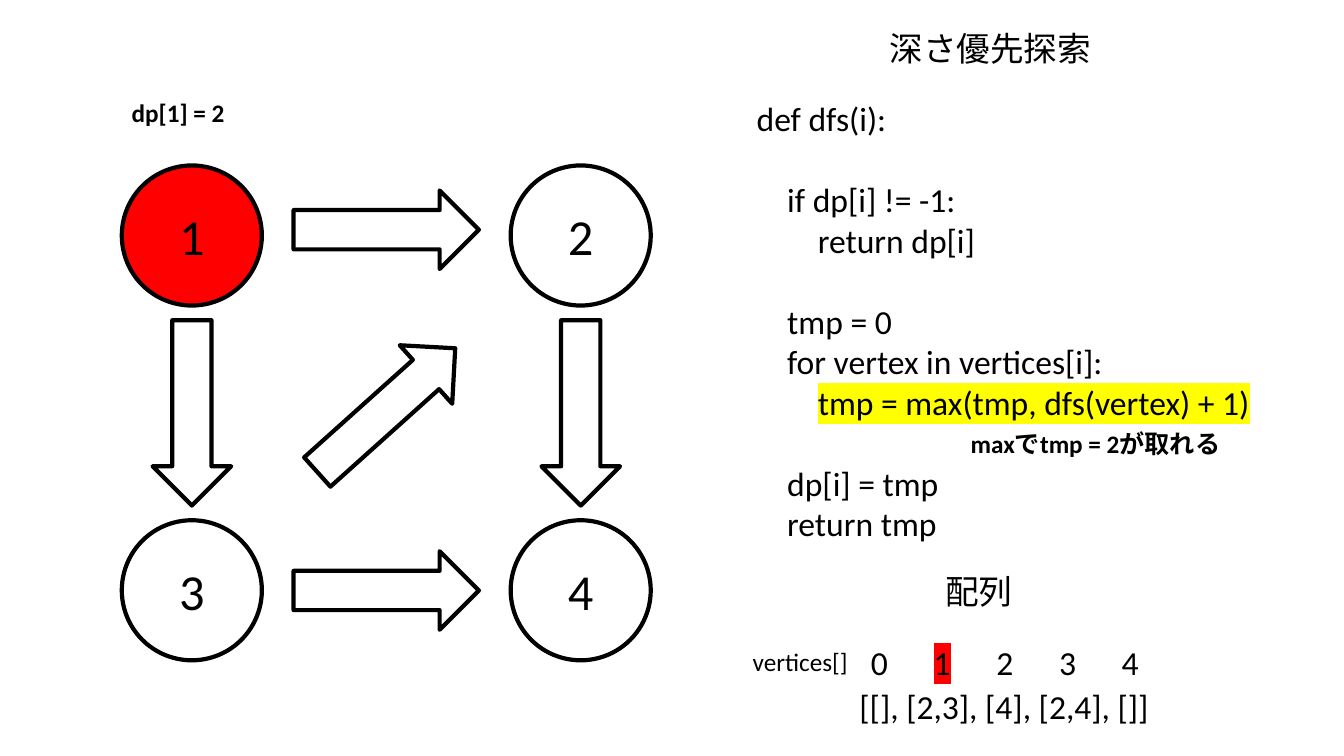
from itertools import product

from lxml import etree
from pptx import Presentation
from pptx import util as u
from pptx.dml.color import RGBColor
from pptx.enum import shapes, text
from pptx.oxml.ns import qn

BLACK, RED, YELLOW = "000000", "FF0000", "FFFF00"
FONT = "Calibri"
NODE = 3.53
COLUMN_STEP, ROW_STEP = 9.8, 8.94
ARROW_WIDTH, ARROW_HEIGHT = 4.67, 1.98
INDENT = 0.77
LINE_HEIGHT = 29.3

# Code lines: indent level, blank lines before, wording, highlight
CODE = [
    (0, 0, "def dfs(i):", None),
    (1, 1, "if dp[i] != -1:", None),
    (2, 0, "return dp[i]", None),
    (1, 1, "tmp = 0", None),
    (1, 0, "for vertex in vertices[i]:", None),
    (2, 0, "tmp = max(tmp, dfs(vertex) + 1)", YELLOW),
    (1, 1, "dp[i] = tmp", None),
    (1, 0, "return tmp", None),
]


def color(value):
    return RGBColor.from_string(value)


def add_span(para, words, size=24, bold=False, highlight=None):
    span = para.add_run()
    span.text = words
    span.font.name = FONT
    span.font.size = u.Pt(size)
    span.font.bold = bold
    span.font.color.rgb = color(BLACK)
    if highlight:
        mark = etree.Element(qn("a:highlight"))
        etree.SubElement(mark, qn("a:srgbClr"), val=highlight)
        span.font._element.find(qn("a:solidFill")).addnext(mark)


def add_box(page, left, top, width, height, wrap=False):
    box = page.shapes.add_textbox(u.Cm(left), u.Cm(top), u.Cm(width), u.Cm(height))
    box.text_frame.word_wrap = wrap
    return box.text_frame


def add_label(page, words, left, top, width, height=1.27, wrap=False, **style):
    frame = add_box(page, left, top, width, height, wrap)
    add_span(frame.paragraphs[0], words, **style)


def add_outline(page, kind, left, top, width, height, fill=None):
    shape = page.shapes.add_shape(
        kind, u.Cm(left), u.Cm(top), u.Cm(width), u.Cm(height))
    shape.shadow.inherit = False
    shape.line.color.rgb = color(BLACK)
    shape.line.width = u.Pt(3)
    if fill:
        shape.fill.solid()
        shape.fill.fore_color.rgb = color(fill)
    else:
        shape.fill.background()
    return shape


def add_arrow(page, center_x, center_y, rotation=0):
    arrow = add_outline(
        page, shapes.MSO_SHAPE.RIGHT_ARROW,
        center_x - ARROW_WIDTH / 2, center_y - ARROW_HEIGHT / 2,
        ARROW_WIDTH, ARROW_HEIGHT)
    arrow.rotation = rotation


def draw_graph(page, left, top):
    # Numbered vertices, row by row
    for number, (row, column) in enumerate(product(range(2), repeat=2), 1):
        node = add_outline(
            page, shapes.MSO_SHAPE.OVAL,
            left + column * COLUMN_STEP, top + row * ROW_STEP, NODE, NODE,
            fill=RED if number == 1 else None)
        frame = node.text_frame
        frame.vertical_anchor = text.MSO_ANCHOR.MIDDLE
        frame.paragraphs[0].alignment = text.PP_ALIGN.CENTER
        add_span(frame.paragraphs[0], str(number), size=36)

    # Edges: across, down and diagonal
    middle_x = left + (COLUMN_STEP + NODE) / 2
    middle_y = top + (ROW_STEP + NODE) / 2
    for offset in (1.62, 10.71):
        add_arrow(page, middle_x, top + offset)
    for column in range(2):
        add_arrow(page, left + NODE / 2 + column * COLUMN_STEP, middle_y, 90)
    add_arrow(page, middle_x, middle_y - 0.07, 318.1)

    # Value of the current vertex
    add_label(page, "dp[1] = 2", left, top - 1.83, 2.87, 1.02, size=18, bold=True)


def draw_code(page, left, top):
    add_label(page, "深さ優先探索", left + 3.35, top - 1.75, 5.64)

    # Function body
    frame = add_box(page, left, top, 13.03, 11.53)
    for index, (level, blanks, words, highlight) in enumerate(CODE):
        para = frame.add_paragraph() if index else frame.paragraphs[0]
        para.space_before = u.Pt(blanks * LINE_HEIGHT)
        para._p.get_or_add_pPr().set("marL", str(u.Cm(level * INDENT)))
        add_span(para, words, highlight=highlight)

    # Remark under the highlighted line
    add_label(page, "maxでtmp = 2が取れる", left + 5.39, top + 8.33, 6.86, 1.02,
              wrap=True, size=18, bold=True)


def draw_array(page, left, top):
    add_label(page, "配列", left + 4.85, top, 2.24)
    add_label(page, "vertices[]", left, top + 1.9, 2.92, 1.02, size=18)

    # Indices above the adjacency list
    for index in range(5):
        add_label(page, str(index), left + 2.98 + index * 1.58, top + 1.78, 0.94,
                  highlight=RED if index == 1 else None)
    add_label(page, "[[], [2,3], [4], [2,4], []]", left + 2.69, top + 2.9, 7.87)


def main():
    deck = Presentation()
    deck.slide_width, deck.slide_height = u.Cm(33.87), u.Cm(19.05)
    page = deck.slides.add_slide(deck.slide_layouts[6])
    draw_graph(page, 3.07, 4.17)
    draw_code(page, 18.82, 2.34)
    draw_array(page, 18.72, 14.27)
    deck.save("out.pptx")


if __name__ == "__main__":
    main()
